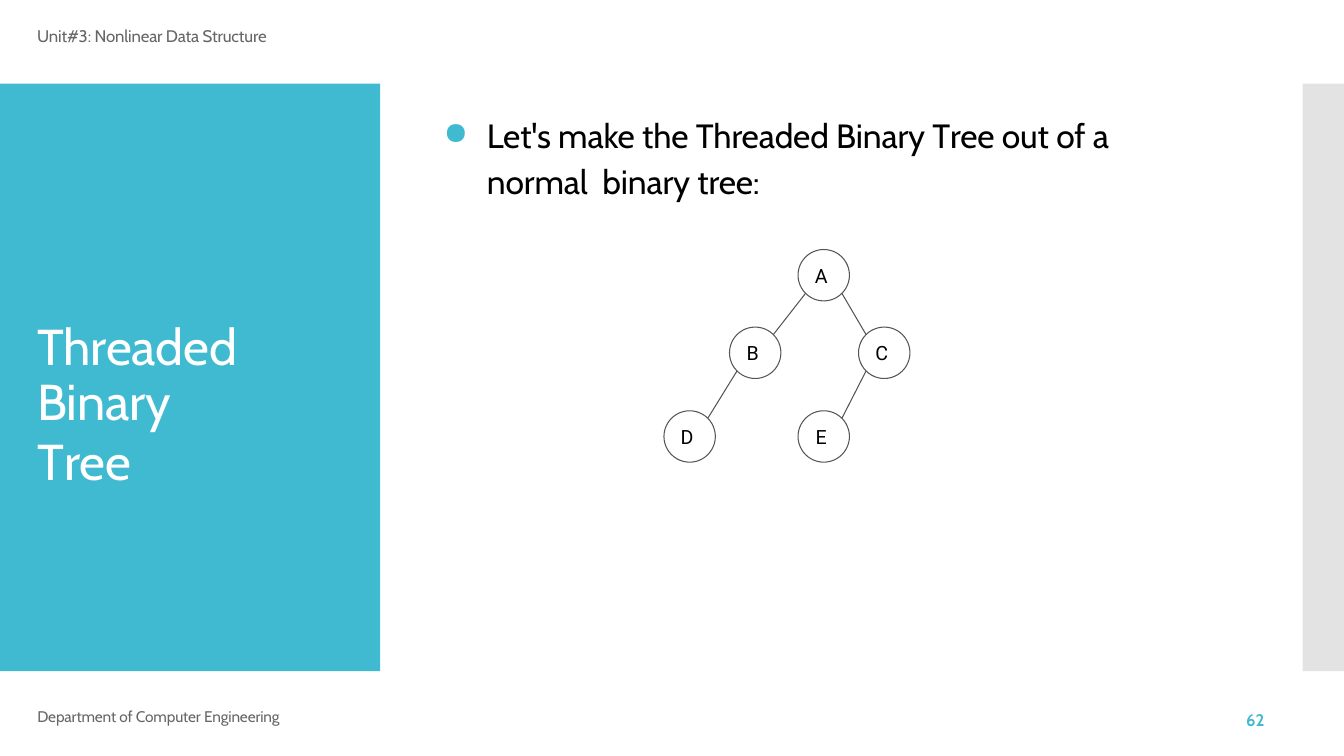
from lxml.etree import SubElement
from pptx import Presentation
from pptx.dml.color import RGBColor
from pptx.enum.shapes import MSO_CONNECTOR, MSO_SHAPE
from pptx.enum.text import MSO_ANCHOR, PP_ALIGN
from pptx.oxml.ns import qn
from pptx.util import Pt

PX = 9144  # 100 px to the inch
SLIDE_SIZE = (1333, 750)

COLORS = {
    "accent": "40BAD1",
    "side_bar": "E3E3E3",
    "muted": "666666",
    "white": "FFFFFF",
    "black": "000000",
    "outline": "545454",
}

PANELS = [
    ((0, 83, 377, 583), "accent"),
    ((1292, 83, 41, 583), "side_bar"),
]

FORMATS = {
    "header": {"name": "Cabin", "size": Pt(12), "color": "muted"},
    "title": {"name": "Cabin", "size": Pt(36), "color": "white"},
    "body": {"name": "Cabin", "size": Pt(24), "color": "black"},
    "footer": {"name": "Cabin", "size": Pt(11), "color": "muted"},
    "number": {"name": "Cabin", "size": Pt(12), "color": "accent", "bold": True},
    "node": {"name": "Roboto", "size": Pt(14), "color": "black"},
}

# box, format, runs as (text, letter spacing in 1/100 pt), line spacing, left indent
TEXTS = [
    ((36, 25, 230, 23), "header", [("Unit#3: Nonlinear Data Structure", -10)], None, 1),
    ((36, 312, 202, 63), "title", [("Threaded", -10)], None, 1),
    ((36, 366, 215, 63), "title", [("Binary ", -10), ("T", -230), ("ree", -10)], None, 1),
    ((438, 107, 760, 94), "body",
     [("Let's make the Threaded Binary ", -10), ("T", -160),
      ("ree out of a normal  binary tree:", -10)], 1.15, 45),
    ((36, 704, 249, 18), "footer", [("Department of Computer Engineering", -10)], Pt(11.4), 1),
    ((1232, 707, 26, 19), "number", [("62", 0)], Pt(12.3), 4),
]

NODE_CENTRES = {
    "A": (817, 273),
    "B": (749, 350),
    "C": (877, 350),
    "D": (684, 433),
    "E": (817, 433),
}
EDGES = ["AB", "AC", "BD", "CE"]
NODE_SIZE = 51
RIM = 18  # horizontal and vertical reach of the 45 degree point on a circle
LABEL_SHIFT = 5


def scaled(*lengths):
    return [length * PX for length in lengths]


def color(name):
    return RGBColor.from_string(COLORS[name])


def add_run(paragraph, text, format_name, spacing=0):
    run = paragraph.add_run()
    run.text = text
    for key, value in FORMATS[format_name].items():
        if key == "color":
            run.font.color.rgb = color(value)
        else:
            setattr(run.font, key, value)
    if spacing:
        run.font._element.set("spc", str(spacing))


def set_margins(frame, **margins):
    for side in ("left", "top", "right", "bottom"):
        setattr(frame, f"margin_{side}", margins.get(side, 0) * PX)


def add_bullet(properties):
    bullet_color = SubElement(properties, qn("a:buClr"))
    SubElement(bullet_color, qn("a:srgbClr"), val=COLORS["accent"])
    SubElement(properties, qn("a:buSzPct"), val="92000")
    SubElement(properties, qn("a:buChar"), char="●")


def add_text(slide, box, format_name, runs, line_spacing, indent):
    frame = slide.shapes.add_textbox(*scaled(*box)).text_frame
    frame.word_wrap = True
    set_margins(frame, top=1 if line_spacing in (None, 1.15) else 0)
    paragraph = frame.paragraphs[0]
    paragraph.line_spacing = line_spacing
    properties = paragraph._p.get_or_add_pPr()
    properties.set("marL", str(indent * PX))
    if format_name == "body":
        properties.set("indent", str(-43 * PX))
        add_bullet(properties)
    for text, spacing in runs:
        add_run(paragraph, text, format_name, spacing)


def add_panel(slide, box, fill):
    panel = slide.shapes.add_shape(MSO_SHAPE.RECTANGLE, *scaled(*box))
    panel.shadow.inherit = False
    panel.fill.solid()
    panel.fill.fore_color.rgb = color(fill)
    panel.line.fill.background()


def set_outline(shape):
    shape.line.color.rgb = color("outline")
    shape.line.width = Pt(0.75)


def add_node(slide, label, centre):
    x, y = (position - NODE_SIZE / 2 for position in centre)
    box = [int(length) for length in scaled(x, y, NODE_SIZE, NODE_SIZE)]
    node = slide.shapes.add_shape(MSO_SHAPE.OVAL, *box)
    node.shadow.inherit = False
    node.fill.background()
    set_outline(node)
    frame = node.text_frame
    frame.vertical_anchor = MSO_ANCHOR.MIDDLE
    set_margins(frame, right=LABEL_SHIFT)
    paragraph = frame.paragraphs[0]
    paragraph.alignment = PP_ALIGN.CENTER
    add_run(paragraph, label, "node")


def add_edge(slide, parent, child):
    """Join the lower rim of the parent to the upper rim of the child."""
    (parent_x, parent_y), (child_x, child_y) = NODE_CENTRES[parent], NODE_CENTRES[child]
    reach = RIM if child_x > parent_x else -RIM
    edge = slide.shapes.add_connector(
        MSO_CONNECTOR.STRAIGHT,
        *scaled(parent_x + reach, parent_y + RIM, child_x - reach, child_y - RIM))
    set_outline(edge)
    SubElement(edge._element.spPr, qn("a:effectLst"))


def main():
    presentation = Presentation()
    presentation.slide_width, presentation.slide_height = scaled(*SLIDE_SIZE)
    slide = presentation.slides.add_slide(presentation.slide_layouts[6])
    for box, fill in PANELS:
        add_panel(slide, box, fill)
    for text in TEXTS:
        add_text(slide, *text)
    for label, centre in NODE_CENTRES.items():
        add_node(slide, label, centre)
    for parent, child in EDGES:
        add_edge(slide, parent, child)
    presentation.save("out.pptx")


if __name__ == "__main__":
    main()
